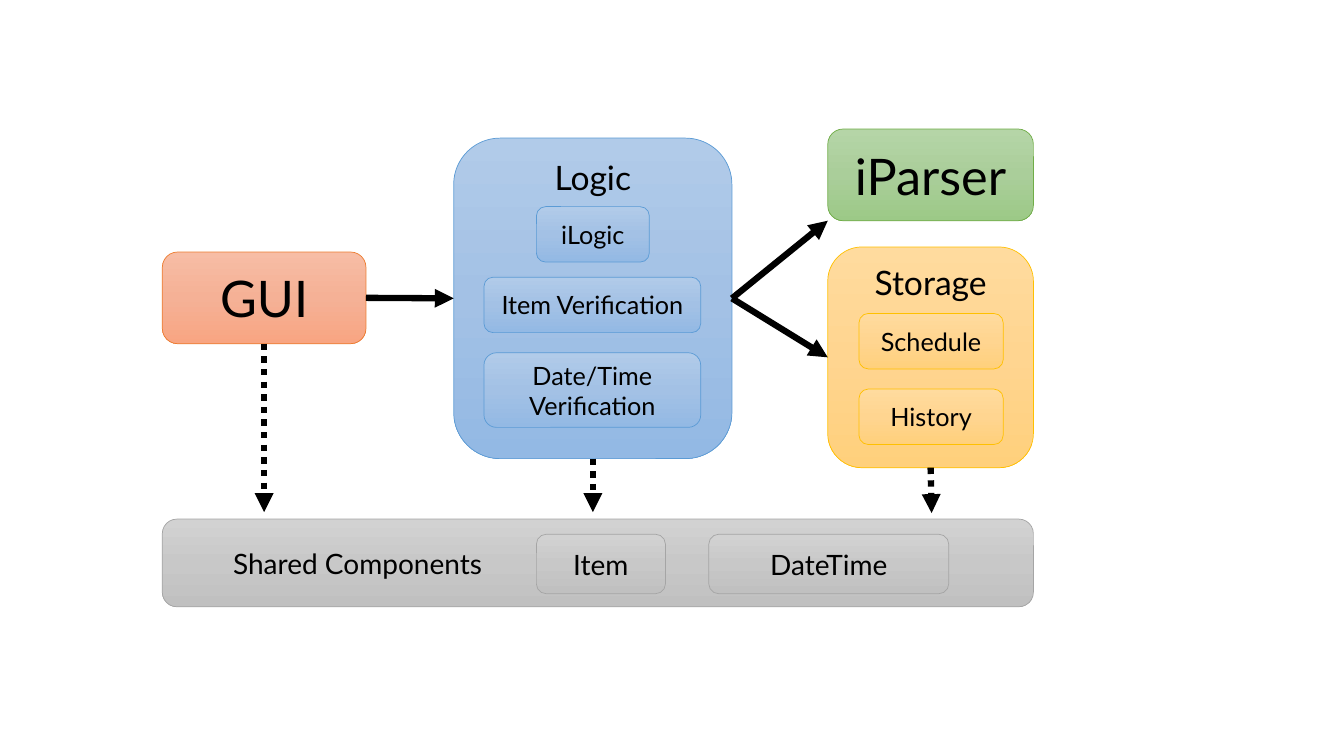
from copy import deepcopy
from dataclasses import dataclass
from typing import Optional

from lxml.etree import SubElement
from pptx import Presentation
from pptx.dml.color import RGBColor
from pptx.enum.dml import MSO_LINE
from pptx.enum.shapes import MSO_CONNECTOR, MSO_SHAPE
from pptx.enum.text import MSO_ANCHOR, PP_ALIGN
from pptx.oxml.ns import qn
from pptx.shapes.autoshape import Shape
from pptx.shapes.connector import Connector
from pptx.slide import Slide
from pptx.util import Emu, Pt

EMU_PER_PX = 9144
BOTTOM, LEFT, RIGHT = 2, 1, 3


@dataclass(frozen=True)
class Tint:
    stops: tuple[str, str, str]
    outline: str


@dataclass(frozen=True)
class Theme:
    font: str = "Lato"
    ink: str = "000000"
    heading_size: int = 36
    title_size: int = 24
    shared_size: int = 20
    component_size: int = 18
    outline_width: float = 0.5
    arrow_width: float = 4.5
    orange: Tint = Tint(("F7BDA5", "F5B196", "F8A582"), "ED7D31")
    blue: Tint = Tint(("B1CBE9", "A3C1E5", "93B9E4"), "5B9BD5")
    green: Tint = Tint(("B5D5A7", "AACE9A", "9CC987"), "70AD47")
    yellow: Tint = Tint(("FFDB9E", "FFD590", "FFD07C"), "FFC000")
    gray: Tint = Tint(("D2D2D2", "C8C8C8", "C0C0C0"), "A5A5A5")


THEME = Theme()


@dataclass(frozen=True)
class Box:
    text: str
    left: int
    top: int
    width: int
    height: int
    tint: Tint
    size: int
    anchor: MSO_ANCHOR = MSO_ANCHOR.MIDDLE
    indent: Optional[int] = None


@dataclass(frozen=True)
class Arrow:
    source: str
    source_side: int
    end: tuple[int, int] = (0, 0)
    target: Optional[str] = None
    target_side: int = LEFT
    dotted: bool = False


BOXES = (
    Box("GUI", 161, 250, 202, 91, THEME.orange, THEME.heading_size),
    Box("Logic", 450, 137, 276, 318, THEME.blue, THEME.title_size, MSO_ANCHOR.TOP),
    Box("iLogic", 532, 205, 112, 55, THEME.blue, THEME.component_size),
    Box("Item Verification", 480, 275, 215, 55, THEME.blue, THEME.component_size),
    Box("Date/Time Verification", 480, 350, 215, 74, THEME.blue, THEME.component_size),
    Box("iParser", 821, 128, 204, 91, THEME.green, THEME.heading_size),
    Box("Storage", 821, 245, 204, 219, THEME.yellow, THEME.title_size, MSO_ANCHOR.TOP),
    Box("Schedule", 852, 311, 143, 55, THEME.yellow, THEME.component_size),
    Box("History", 852, 386, 143, 55, THEME.yellow, THEME.component_size),
    Box("Shared Components", 161, 515, 864, 87, THEME.gray, THEME.shared_size, indent=66),
    Box("Item", 532, 530, 128, 59, THEME.gray, THEME.shared_size),
    Box("DateTime", 703, 530, 238, 59, THEME.gray, THEME.shared_size),
)

ARROWS = (
    Arrow("GUI", RIGHT, target="Logic"),
    Arrow("Logic", RIGHT, end=(821, 219)),
    Arrow("Logic", RIGHT, target="Storage"),
    Arrow("GUI", BOTTOM, end=(262, 508), dotted=True),
    Arrow("Logic", BOTTOM, end=(588, 508), dotted=True),
    Arrow("Storage", BOTTOM, end=(924, 509), dotted=True),
)


def px(length: int) -> Emu:
    return Emu(length * EMU_PER_PX)


def color(value: str) -> RGBColor:
    return RGBColor.from_string(value)


def paint(shape: Shape, tint: Tint) -> None:
    shape.shadow.inherit = False
    shape.fill.gradient()
    shape.fill.gradient_angle = 270
    stop_list = shape._element.spPr.find(qn("a:gradFill")).find(qn("a:gsLst"))
    stop_list.insert(1, deepcopy(stop_list[0]))
    for index, stop in enumerate(shape.fill.gradient_stops):
        stop.position = index / 2
        stop.color.rgb = color(tint.stops[index])
    shape.line.color.rgb = color(tint.outline)
    shape.line.width = Pt(THEME.outline_width)


def draw_box(page: Slide, box: Box) -> Shape:
    shape = page.shapes.add_shape(
        MSO_SHAPE.ROUNDED_RECTANGLE,
        px(box.left), px(box.top), px(box.width), px(box.height),
    )
    paint(shape, box.tint)
    frame = shape.text_frame
    frame.text = box.text
    frame.word_wrap = True
    frame.vertical_anchor = box.anchor
    para = frame.paragraphs[0]
    para.alignment = PP_ALIGN.CENTER
    if box.indent is not None:
        para.alignment = PP_ALIGN.LEFT
        frame.margin_left = px(box.indent)
    for span in para.runs:
        span.font.name = THEME.font
        span.font.size = Pt(box.size)
        span.font.color.rgb = color(THEME.ink)
    return shape


def draw_arrow(page: Slide, arrow: Arrow, shapes: dict[str, Shape]) -> Connector:
    end_x, end_y = (px(value) for value in arrow.end)
    connector = page.shapes.add_connector(
        MSO_CONNECTOR.STRAIGHT, end_x, end_y, end_x, end_y
    )
    connector.begin_connect(shapes[arrow.source], arrow.source_side)
    if arrow.target:
        connector.end_connect(shapes[arrow.target], arrow.target_side)
    connector.line.color.rgb = color(THEME.ink)
    connector.line.width = Pt(THEME.arrow_width)
    if arrow.dotted:
        connector.line.dash_style = MSO_LINE.ROUND_DOT
    properties = connector._element.spPr
    SubElement(properties.find(qn("a:ln")), qn("a:tailEnd"), type="triangle")
    SubElement(properties, qn("a:effectLst"))
    return connector


def main() -> None:
    deck = Presentation()
    deck.slide_width, deck.slide_height = px(1333), px(750)
    page = deck.slides.add_slide(deck.slide_layouts[6])
    shapes = {box.text: draw_box(page, box) for box in BOXES}
    for arrow in ARROWS:
        draw_arrow(page, arrow, shapes)
    deck.save("out.pptx")


if __name__ == "__main__":
    main()
